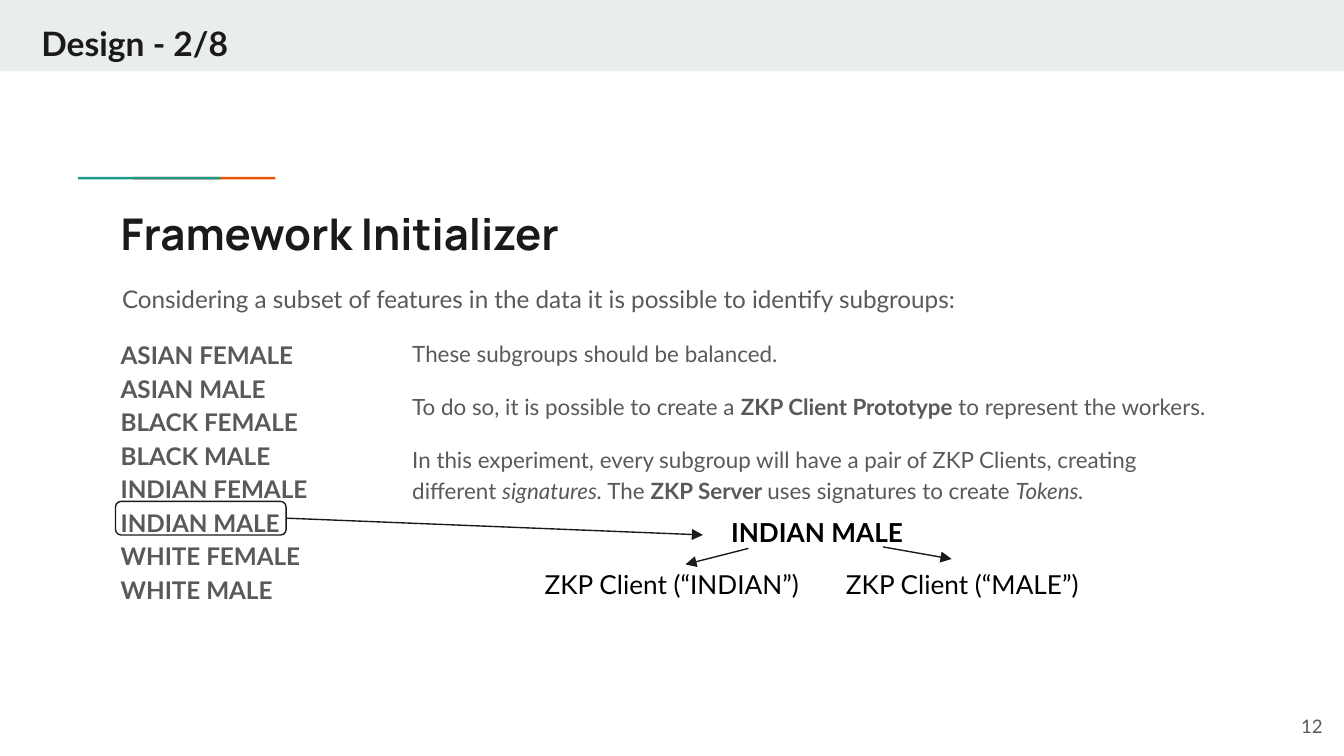
from dataclasses import dataclass

from lxml import etree
from pptx import Presentation
from pptx.dml.color import RGBColor
from pptx.enum.shapes import MSO_CONNECTOR, MSO_SHAPE
from pptx.enum.text import MSO_ANCHOR, PP_ALIGN
from pptx.oxml.ns import qn
from pptx.util import Pt

RECT, ROUNDED = MSO_SHAPE.RECTANGLE, MSO_SHAPE.ROUNDED_RECTANGLE
STRAIGHT = MSO_CONNECTOR.STRAIGHT
LEFT, CENTER, RIGHT = PP_ALIGN.LEFT, PP_ALIGN.CENTER, PP_ALIGN.RIGHT
TOP, MIDDLE = MSO_ANCHOR.TOP, MSO_ANCHOR.MIDDLE
RIGHT_SIDE = 3


@dataclass(frozen=True)
class Theme:
    font: str = "Lato"
    title_font: str = "Manrope"
    band: str = "E9EDEE"
    orange: str = "EB5600"
    teal: str = "1A9988"
    dark: str = "1A1A1A"
    gray: str = "595959"
    black: str = "000000"
    title: float = 23.4
    header: float = 18
    label: float = 14
    lead: float = 13
    body: float = 12
    number: float = 10
    inset: float = 7.2
    line: float = 0.75
    leading: float = 1.15


class SlideBuilder:
    def __init__(self, slide, theme):
        self.s = slide
        self.theme = theme

    def shape(self, kind, box, fill=None, line=None):
        sp = self.s.shapes.add_shape(kind, *map(Pt, box))
        sp.shadow.inherit = False
        if fill:
            sp.fill.solid()
            sp.fill.fore_color.rgb = RGBColor.from_string(fill)
        else:
            sp.fill.background()
        if line:
            sp.line.color.rgb = RGBColor.from_string(line)
            sp.line.width = Pt(self.theme.line)
        else:
            sp.line.fill.background()
        return sp

    def text(self, box, paragraphs, size, color, font=None, bold=False,
             align=LEFT, anchor=TOP, leading=None, gap=0):
        """Each paragraph is a string or a list of (text, style), style "", "b" or "i"."""
        tf = self.s.shapes.add_textbox(*map(Pt, box)).text_frame
        tf.word_wrap = True
        tf.vertical_anchor = anchor
        tf.margin_left = tf.margin_right = Pt(self.theme.inset)
        tf.margin_top = tf.margin_bottom = Pt(self.theme.inset)
        for i, content in enumerate(paragraphs):
            p = tf.add_paragraph() if i else tf.paragraphs[0]
            p.alignment = align
            p.line_spacing = leading
            p.space_before = Pt(gap if i else 0)
            if isinstance(content, str):
                p.text = content
            else:
                for part, style in content:
                    r = p.add_run()
                    r.text = part
                    r.font.bold = style == "b"
                    r.font.italic = style == "i"
            for r in p.runs:
                r.font.name = font or self.theme.font
                r.font.size = Pt(size)
                r.font.color.rgb = RGBColor.from_string(color)
                if bold:
                    r.font.bold = True

    def arrow(self, start, end, source=None):
        cx = self.s.shapes.add_connector(STRAIGHT, *map(Pt, start + end))
        if source is not None:
            cx.begin_connect(source, RIGHT_SIDE)
        cx.line.color.rgb = RGBColor.from_string(self.theme.dark)
        cx.line.width = Pt(self.theme.line)
        etree.SubElement(cx.line._get_or_add_ln(), qn("a:tailEnd"), type="triangle")
        etree.SubElement(cx._element.spPr, qn("a:effectLst"))


def main():
    prs = Presentation()
    prs.slide_width, prs.slide_height = Pt(720), Pt(405)
    t = Theme()
    b = SlideBuilder(prs.slides.add_slide(prs.slide_layouts[6]), t)

    b.shape(RECT, (0, 0, 720, 38.2), fill=t.band)
    for x, color in ((71.2, t.orange), (41.8, t.teal)):
        b.shape(RECT, (x, 94.8, 76.4, 1.4), fill=color)
    b.text((15.1, 5, 421, 36), ["Design - 2/8"], t.header, t.dark, bold=True)
    b.text((57.6, 103.7, 605.5, 42.5), ["Framework Initializer"], t.title, t.dark,
           font=t.title_font, bold=True)
    b.text((58.3, 142.6, 604.8, 30.2),
           ["Considering a subset of features in the data it is possible to identify subgroups:"],
           t.lead, t.gray, leading=t.leading)

    subgroups = [f"{group} {sex}" for group in ("ASIAN", "BLACK", "INDIAN", "WHITE")
                 for sex in ("FEMALE", "MALE")]
    b.text((57.6, 172.8, 144, 169.2), ["\n".join(subgroups)], t.lead, t.gray,
           bold=True, leading=t.leading)
    b.text((213.8, 172.8, 449.3, 108), [
        "These subgroups should be balanced.",
        [("To do so, it is possible to create a ", ""), ("ZKP Client Prototype", "b"),
         (" to represent the workers.", "")],
        [("In this experiment, every subgroup will have a pair of ZKP Clients, "
          "creating different ", ""), ("signatures.", "i"), (" The ", ""),
         ("ZKP Server ", "b"), ("uses signatures to create ", ""), ("Tokens.", "i")],
    ], t.body, t.gray, leading=t.leading, gap=12)

    highlight = b.shape(ROUNDED, (61.9, 268.6, 91.4, 18), line=t.dark)
    b.text((213.1, 269.3, 449.3, 31.7), ["INDIAN MALE"], t.label, t.black,
           bold=True, align=CENTER)
    for center, feature in ((360, "INDIAN"), (515.6, "MALE")):
        b.text((center - 78, 297.4, 156, 31.7), [f"ZKP Client (“{feature}”)"],
               t.label, t.black, align=CENTER)
    b.arrow((153.3, 277.6), (376.6, 286.6), source=highlight)
    b.arrow((401, 293.8), (367.2, 302.4))
    b.arrow((473, 293), (509.8, 299.5))

    b.text((672.5, 373.7, 43.2, 31), ["12"], t.number, t.gray, align=RIGHT, anchor=MIDDLE)
    prs.save("out.pptx")


if __name__ == "__main__":
    main()
